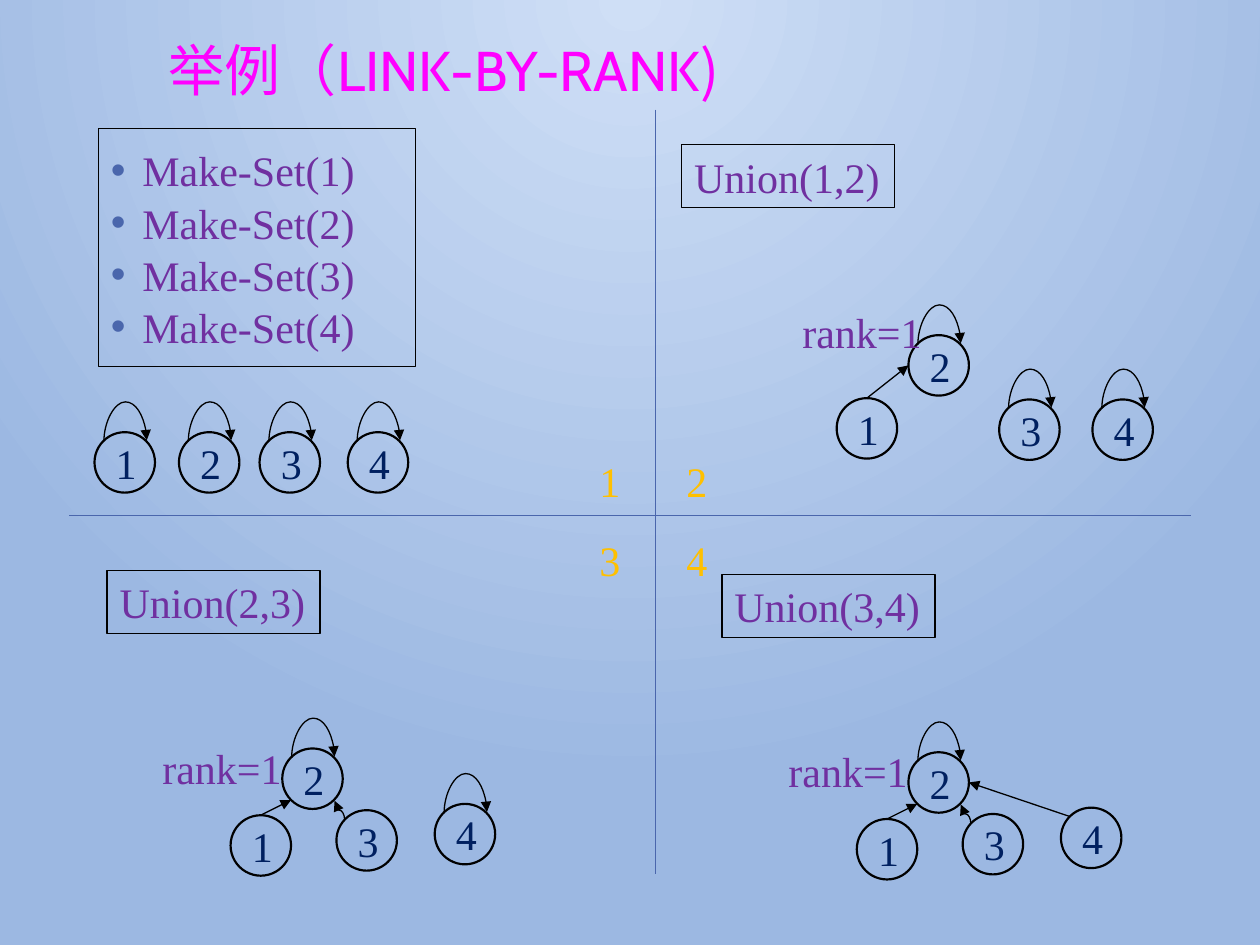
from lxml import etree
from pptx import Presentation
from pptx.dml.color import RGBColor
from pptx.enum.shapes import MSO_CONNECTOR, MSO_SHAPE
from pptx.enum.text import MSO_ANCHOR, MSO_AUTO_SIZE, PP_ALIGN
from pptx.oxml.ns import qn
from pptx.util import Inches, Pt

LINE, CURVE = MSO_CONNECTOR.STRAIGHT, MSO_CONNECTOR.CURVE
OVAL = MSO_SHAPE.OVAL
MIDDLE = MSO_ANCHOR.MIDDLE
FIXED, GROW = MSO_AUTO_SIZE.NONE, MSO_AUTO_SIZE.SHAPE_TO_FIT_TEXT
LEFT, CENTER = PP_ALIGN.LEFT, PP_ALIGN.CENTER

HUES = {"light": "CFDFF6", "deep": "9CB8E2", "title": "FF00FF", "text": "7030A0",
        "node": "002060", "ink": "000000", "axis": "4A66AC", "mark": "FFC000"}
SERIF, SANS, CJK = "Times New Roman", "Cabin", "Noto Sans CJK SC"
SIZE = 0.48
SITES = {"top": (0.24, 0), "left": (0, 0.24), "right": (0.48, 0.24),
         "low": (0.07, 0.41), "high": (0.07, 0.07)}
PAIR = {"1": (0, 0.5), "2": (0.57, 0), "3": (1.29, 0.51), "4": (2.03, 0.51)}
TREE = {"1": (0, 0.53), "2": (0.41, 0), "3": (0.84, 0.49), "4": (1.62, 0.44)}
ROW = {"1": (0, 0), "2": (0.67, 0), "3": (1.31, 0), "4": (2.01, 0)}


def color(name):
    """Return the named colour."""
    return RGBColor.from_string(HUES[name])


def style(run, hue, size=24, face=SERIF):
    """Set the font of a run."""
    run.font.size, run.font.name = Pt(size), face
    run.font.color.rgb = color(hue)
    if face == CJK:
        etree.SubElement(run.font._element, qn("a:ea"), typeface=face)


def border(shape, hue, width):
    """Outline a shape."""
    shape.line.color.rgb = color(hue)
    shape.line.width = Pt(width)


def label(shapes, text, box, hue="text", frame=False):
    """Place a line of text that fits its box."""
    shape = shapes.add_textbox(*map(Inches, box))
    shape.text_frame.text = text
    shape.text_frame.word_wrap = False
    shape.text_frame.auto_size = GROW
    style(shape.text_frame.paragraphs[0].runs[0], hue)
    if frame:
        border(shape, "ink", 0.75)
    return shape


def wire(shapes, kind, start, end, hue="ink", turn=0, bend=None):
    """Draw a line, with an arrowhead when it is ink."""
    link = shapes.add_connector(kind, *map(Inches, (*start, *end)))
    border(link, hue, 0.75)
    link.rotation = turn
    props = link._element.spPr
    if hue == "ink":
        etree.SubElement(props.find(qn("a:ln")), qn("a:tailEnd"), type="triangle")
    if bend:
        guides = props.find(qn("a:prstGeom")).find(qn("a:avLst"))
        etree.SubElement(guides, qn("a:gd"), name="adj1", fmla=f"val {bend}")
    etree.SubElement(props, qn("a:effectLst"))


def node(shapes, text, x, y):
    """Draw a numbered circle."""
    shape = shapes.add_shape(OVAL, *map(Inches, (x, y, SIZE, SIZE)))
    shape.shadow.inherit = False
    shape.fill.background()
    border(shape, "ink", 1.25)
    shape.text_frame.text = text
    shape.text_frame.vertical_anchor = MIDDLE
    line = shape.text_frame.paragraphs[0]
    line.alignment = CENTER
    style(line.runs[0], "node")


def forest(shapes, x, y, spots, roots, edges=(), hook=None, rank=None):
    """Draw nodes, loops on roots, parent arrows and the rank, from a corner."""
    spots = {key: (x + dx, y + dy) for key, (dx, dy) in spots.items()}
    for key, spot in spots.items():
        node(shapes, key, *spot)
    for key in roots:
        left, top = spots[key][0] + 0.24, spots[key][1] - 0.1
        wire(shapes, CURVE, (left + 0.01, top + 0.34), (left, top), turn=90, bend=3200000)
    for child, start, parent, end in edges:
        ends = [[a + b for a, b in zip(spots[key], SITES[site])]
                for key, site in ((child, start), (parent, end))]
        wire(shapes, LINE, *ends)
    if hook:
        left, top = spots[hook][0] - 0.05, spots[hook][1] - 0.04
        wire(shapes, CURVE, (left, top + 0.08), (left + 0.15, top), turn=270, bend=50000)
    if rank:
        label(shapes, "rank=1", (x + rank[0], y + rank[1], 1.16, 0.5))


def place(shape, box):
    """Move a placeholder to a box."""
    shape.left, shape.top, shape.width, shape.height = map(Inches, box)
    shape.text_frame.auto_size = FIXED


def head(shape, box):
    """Fill the title."""
    place(shape, box)
    line = shape.text_frame.paragraphs[0]
    line.alignment, line.line_spacing = LEFT, 0.9
    for text, face in (("举例（", CJK), ("LINK-BY-RANK", SANS), (")", CJK)):
        run = line.add_run()
        run.text = text
        style(run, "title", 32, face)


def steps(shape, box):
    """Fill the bulleted list of calls."""
    place(shape, box)
    border(shape, "ink", 0.75)
    shape.text_frame.text = "\n".join(f"Make-Set({i})" for i in range(1, 5))
    for i, line in enumerate(shape.text_frame.paragraphs):
        line.line_spacing = 1.0 if i else 1.2
        line.space_before = Pt(1 if i else 10)
        style(line.runs[0], "text")
        props = line._p.get_or_add_pPr()
        props.set("marL", str(Inches(0.25)))
        props.set("indent", str(Inches(-0.25)))
        tint = etree.SubElement(props, qn("a:buClr"))
        etree.SubElement(tint, qn("a:srgbClr"), val=HUES["axis"])
        etree.SubElement(props, qn("a:buFont"), typeface="Arial")
        etree.SubElement(props, qn("a:buChar"), char="•")


def cross(shapes, x, y):
    """Draw the axes and number the four quarters."""
    wire(shapes, LINE, (0.55, y), (9.45, y), "axis")
    wire(shapes, LINE, (x, 0.87), (x, 6.94), "axis")
    for i in range(4):
        row, col = divmod(i, 2)
        box = (x - 0.54 + 0.69 * col, y - 0.6 + 0.62 * row, 0.6, 0.7)
        mark = label(shapes, str(i + 1), box, "mark")
        mark.text_frame.auto_size = FIXED
        mark.text_frame.word_wrap = True
        line = mark.text_frame.paragraphs[0]
        line.line_spacing, line.space_before = 1.2, Pt(10)


def backdrop(slide):
    """Fill the background with a radial gradient."""
    fill = slide.background.fill
    fill.gradient()
    for stop, hue in zip(fill.gradient_stops, ("light", "deep")):
        stop.color.rgb = color(hue)
    for stop, spot in zip(fill.gradient_stops, (0, 1)):
        stop.position = spot
    grad = slide.element.find(".//" + qn("a:gradFill"))
    grad.remove(grad.find(qn("a:lin")))
    ring = etree.SubElement(grad, qn("a:path"), {"path": "circle"})
    etree.SubElement(ring, qn("a:fillToRect"), l="43000", t="0", r="43000", b="100000")


def main():
    """Build the slide."""
    deck = Presentation()
    deck.slide_width, deck.slide_height = Inches(10), Inches(7.5)
    slide = deck.slides.add_slide(deck.slide_layouts[1])
    shapes = slide.shapes
    backdrop(slide)
    head(shapes.title, (1.24, 0.25, 7.19, 0.67))
    steps(slide.placeholders[1], (0.78, 1.02, 2.52, 1.89))
    forest(shapes, 0.75, 3.43, ROW, "1234")
    cross(shapes, 5.2, 4.09)
    for text, x, y in (("Union(3,4)", 5.73, 4.56), ("Union(2,3)", 0.85, 4.53),
                       ("Union(1,2)", 5.41, 1.15)):
        label(shapes, text, (x, y, 1.69, 0.5), frame=True)
    first, last = ("1", "top", "2", "low"), ("4", "high", "2", "right")
    forest(shapes.add_group_shape().shapes, 6.64, 2.66, PAIR, "234",
           [("1", "top", "2", "left")], rank=(-0.37, -0.28))
    for x, y, roots, edges in ((1.83, 5.94, "24", [first]),
                               (6.8, 5.97, "2", [first, last])):
        forest(shapes.add_group_shape().shapes, x, y, TREE, roots, edges,
               "3", (-0.64, -0.1))
    deck.save("out.pptx")


if __name__ == "__main__":
    main()
